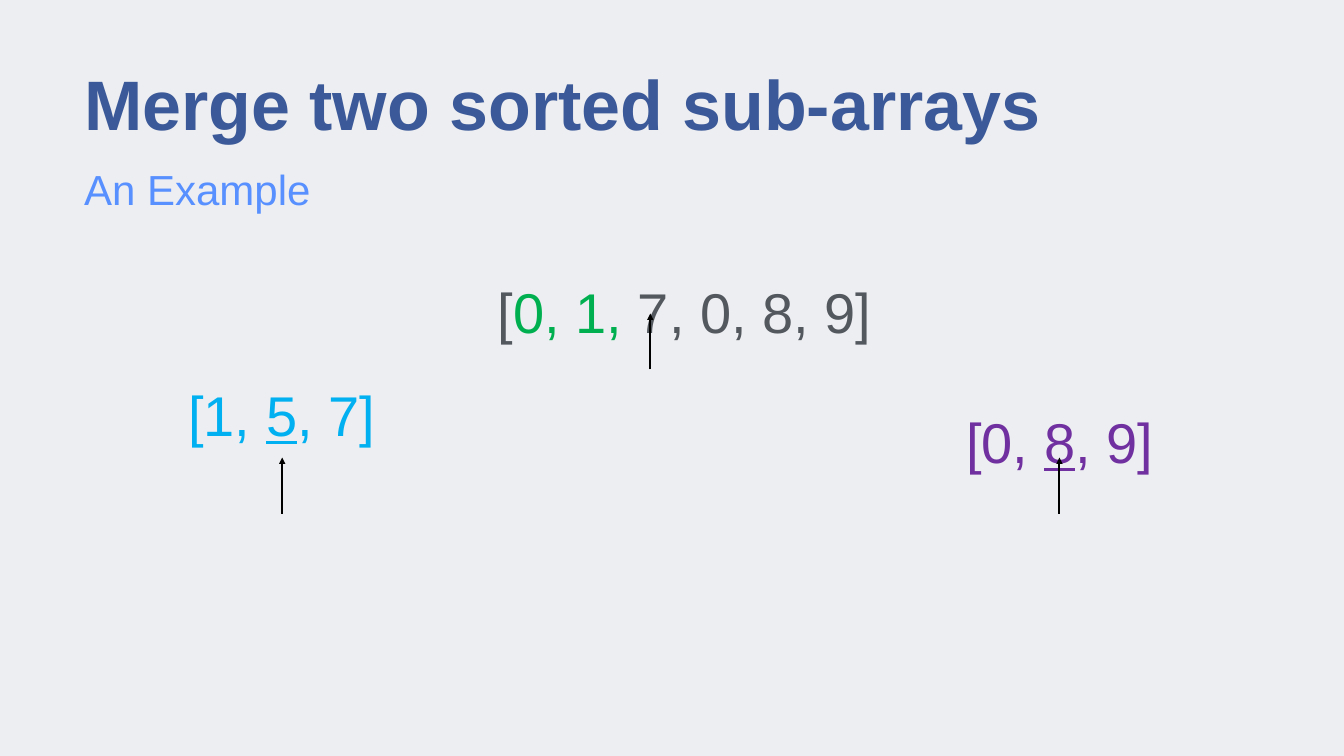
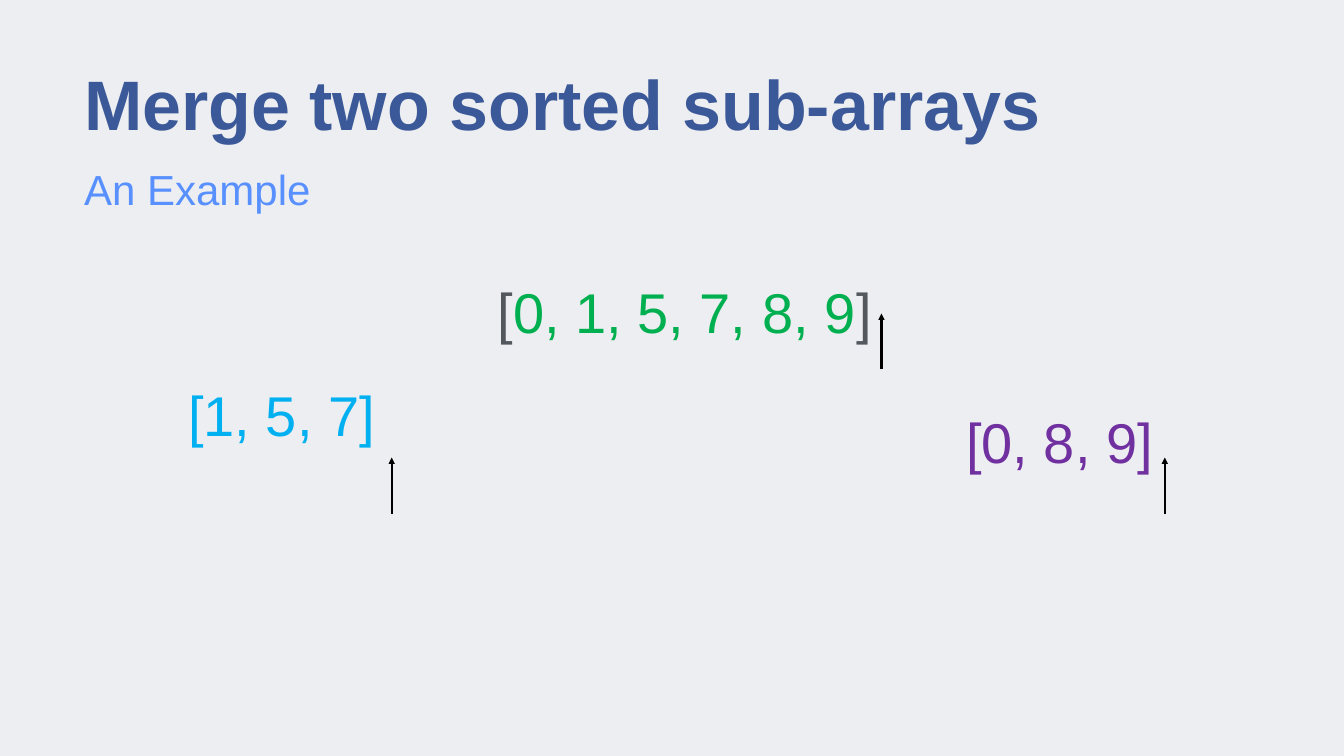
from dataclasses import dataclass

from lxml import etree
from pptx import Presentation
from pptx.dml.color import RGBColor
from pptx.enum.shapes import MSO_CONNECTOR
from pptx.enum.text import MSO_ANCHOR, PP_ALIGN
from pptx.oxml.ns import qn
from pptx.util import Cm, Pt

STRAIGHT = MSO_CONNECTOR.STRAIGHT
TOP, MIDDLE = MSO_ANCHOR.TOP, MSO_ANCHOR.MIDDLE
LEFT, CENTER = PP_ALIGN.LEFT, PP_ALIGN.CENTER


@dataclass(frozen=True)
class Theme:
    font: str = "Arial"
    background: str = "EDEEF1"
    title: str = "3B5998"
    subtitle: str = "5890FF"
    pending: str = "53585F"
    merged: str = "00B050"
    left_half: str = "00B0F0"
    right_half: str = "7030A0"
    pointer: str = "000000"
    title_size: int = 100
    subtitle_size: int = 60
    array_size: int = 80
    pointer_width: int = 3


@dataclass(frozen=True)
class Box:
    left: float
    top: float
    width: float
    height: float


@dataclass(frozen=True)
class Run:
    text: str
    color: str
    underline: bool = False


@dataclass(frozen=True)
class ArrayStyle:
    box: Box
    line_spacing: float
    anchor: MSO_ANCHOR
    pointer_tip: float


@dataclass(frozen=True)
class ArrayState:
    style: ArrayStyle
    runs: list[Run]
    pointer_x: float


THEME = Theme()
TITLE_BOX = Box(4.24, 2.9, 59.26, 5.11)
SUBTITLE_BOX = Box(4.24, 8.1, 59.26, 3.1)
ARRAY_INSET = 0.4
POINTER_LENGTH = 2.82
MERGED = ArrayStyle(Box(4.24, 11.91, 60.53, 6.71), 1.5, TOP, 15.8)
LEFT_HALF = ArrayStyle(Box(6.4, 18.62, 15.6, 3.76), 1.1, MIDDLE, 23.06)
RIGHT_HALF = ArrayStyle(Box(43.31, 18.62, 20.19, 5.13), 1.5, MIDDLE, 23.06)


def half_runs(before: str, current: str, after: str, color: str) -> list[Run]:
    return [Run(before, color), Run(current, color, True), Run(after, color)]


STEPS = [
    [
        ArrayState(MERGED, [Run("[", THEME.pending), Run("0, 1,", THEME.merged),
                            Run(" 7, 0, 8, 9]", THEME.pending)], 32.77),
        ArrayState(LEFT_HALF, half_runs("[1, ", "5", ", 7]", THEME.left_half), 14.22),
        ArrayState(RIGHT_HALF, half_runs("[0, ", "8", ", 9]", THEME.right_half), 53.39),
    ],
    [
        ArrayState(MERGED, [Run("[", THEME.pending), Run("0, 1, 5, 7, 8, 9", THEME.merged),
                            Run("]", THEME.pending)], 44.42),
        ArrayState(LEFT_HALF, [Run("[1, 5, 7]", THEME.left_half)], 19.74),
        ArrayState(RIGHT_HALF, [Run("[0, 8, 9]", THEME.right_half)], 58.7),
    ],
]


def add_text(slide, box: Box, runs: list[Run], *, size: int, bold: bool = False,
             align: PP_ALIGN = LEFT, anchor: MSO_ANCHOR = MIDDLE,
             line_spacing: float = 0.9, inset_top: float = 0) -> None:
    shape = slide.shapes.add_textbox(Cm(box.left), Cm(box.top), Cm(box.width), Cm(box.height))
    frame = shape.text_frame
    frame.word_wrap = True
    frame.vertical_anchor = anchor
    frame.margin_left = frame.margin_right = frame.margin_bottom = 0
    frame.margin_top = Cm(inset_top)
    paragraph = frame.paragraphs[0]
    paragraph.alignment = align
    paragraph.line_spacing = line_spacing
    for item in runs:
        run = paragraph.add_run()
        run.text = item.text
        run.font.name = THEME.font
        run.font.size = Pt(size)
        run.font.bold = bold
        run.font.underline = item.underline
        run.font.color.rgb = RGBColor.from_string(item.color)


def add_pointer(slide, x: float, tip: float) -> None:
    connector = slide.shapes.add_connector(
        STRAIGHT, Cm(x), Cm(tip + POINTER_LENGTH), Cm(x), Cm(tip))
    connector.line.color.rgb = RGBColor.from_string(THEME.pointer)
    connector.line.width = Pt(THEME.pointer_width)
    etree.SubElement(connector.line._get_or_add_ln(), qn("a:tailEnd"), type="triangle")
    etree.SubElement(connector._element.spPr, qn("a:effectLst"))


def add_array(slide, state: ArrayState) -> None:
    style = state.style
    add_text(slide, style.box, state.runs, size=THEME.array_size, align=CENTER,
             anchor=style.anchor, line_spacing=style.line_spacing, inset_top=ARRAY_INSET)
    add_pointer(slide, state.pointer_x, style.pointer_tip)


def add_step(presentation, states: list[ArrayState]) -> None:
    slide = presentation.slides.add_slide(presentation.slide_layouts[6])
    fill = slide.background.fill
    fill.solid()
    fill.fore_color.rgb = RGBColor.from_string(THEME.background)
    for state in states:
        add_array(slide, state)
    add_text(slide, TITLE_BOX, [Run("Merge two sorted sub-arrays", THEME.title)],
             size=THEME.title_size, bold=True)
    add_text(slide, SUBTITLE_BOX, [Run("An Example", THEME.subtitle)],
             size=THEME.subtitle_size)


def main() -> None:
    presentation = Presentation()
    presentation.slide_width = Cm(67.73)
    presentation.slide_height = Cm(38.1)
    for states in STEPS:
        add_step(presentation, states)
    presentation.save("out.pptx")


if __name__ == "__main__":
    main()
